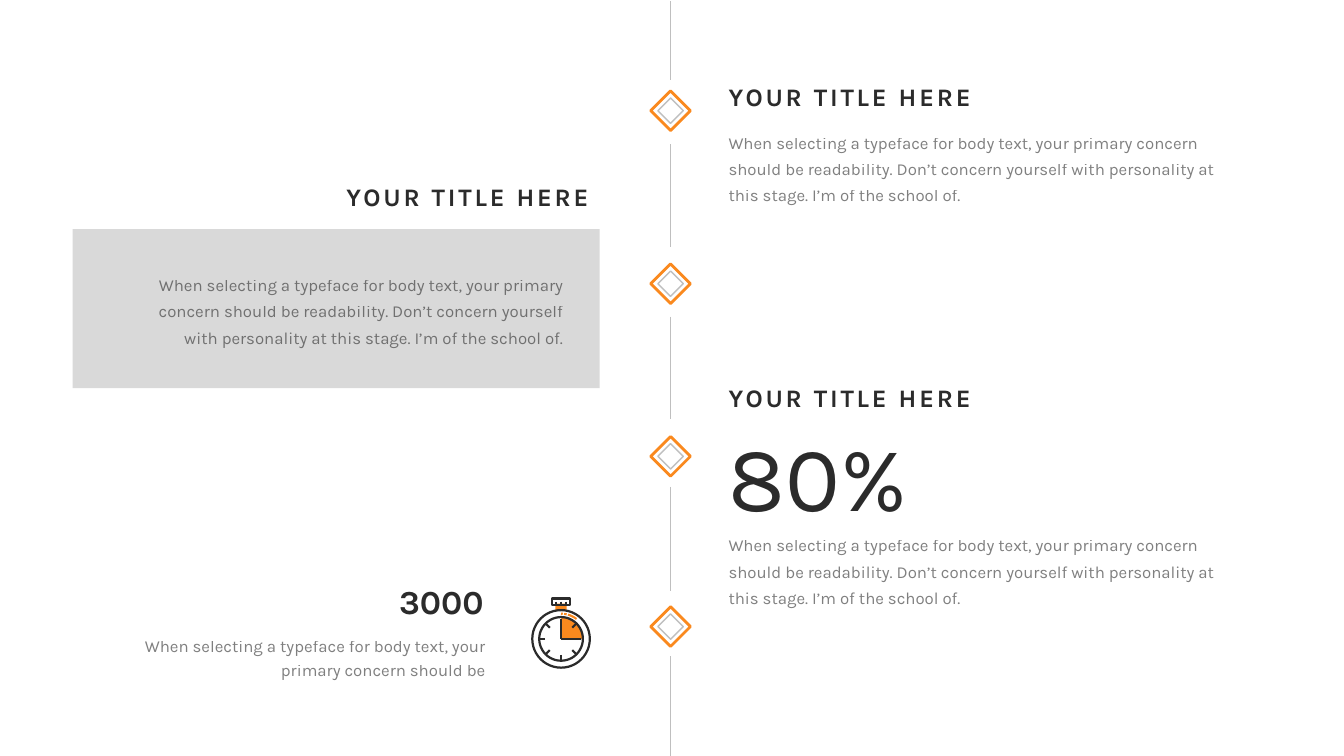
import math
from dataclasses import dataclass

import pptx
import pptx.dml.color
import pptx.enum.shapes
import pptx.enum.text
import pptx.oxml
import pptx.oxml.ns
import pptx.util
from lxml import etree

Cm = pptx.util.Cm
Pt = pptx.util.Pt
RGBColor = pptx.dml.color.RGBColor
Align = pptx.enum.text.PP_ALIGN
Preset = pptx.enum.shapes.MSO_SHAPE
qn = pptx.oxml.ns.qn

ORANGE = RGBColor(0xFA, 0x89, 0x1E)
INK = RGBColor(0x2B, 0x2B, 0x2B)
RULE_GREY = RGBColor(0xBF, 0xBF, 0xBF)
PANEL_GREY = RGBColor(0xD9, 0xD9, 0xD9)
FONT = "Karla"

AXIS_X = 16.9
MILESTONE_YS = (2.79, 7.15, 11.5, 15.79)
AXIS_SEGMENTS = ((0.03, 2.01), (3.63, 6.22), (7.98, 10.57), (12.27, 14.88), (16.54, 19.05))
RIGHT_X = 18.11
COLUMN_WIDTH = 13.21

TITLE = "YOUR TITLE HERE"
BRIEF = "When selecting a typeface for body text, your primary concern should be"
BODY = (BRIEF + " readability. Don’t concern yourself with personality at this stage. "
        "I’m of the school of.")


@dataclass(frozen=True)
class Style:
    size: float
    line_spacing: float = 1.0
    bold: bool = False
    tracking: float = 0
    opacity: int = 100
    wrap: bool = True


@dataclass(frozen=True)
class Copy:
    text: str
    style: Style
    left: float
    top: float
    width: float
    height: float
    align: Align = Align.LEFT


HEADING = Style(18, 0.9, bold=True, tracking=2)
PARAGRAPH = Style(12, 1.3, opacity=60)
NOTE = Style(12, 1.2, opacity=60)
COUNT = Style(24, 0.9, bold=True)
PERCENT = Style(66, wrap=False)

COPIES = (
    Copy(TITLE, HEADING, RIGHT_X, 2.01, COLUMN_WIDTH, 1.04),
    Copy(BODY, PARAGRAPH, RIGHT_X, 3.07, COLUMN_WIDTH, 2.26),
    Copy(TITLE, HEADING, 1.88, 4.52, COLUMN_WIDTH, 1.04, Align.RIGHT),
    Copy(BODY, PARAGRAPH, 2.92, 6.65, 11.53, 2.26, Align.RIGHT),
    Copy(TITLE, HEADING, RIGHT_X, 9.6, COLUMN_WIDTH, 1.04),
    Copy("80%", PERCENT, RIGHT_X, 10.44, 5.11, 3.07),
    Copy(BODY, PARAGRAPH, RIGHT_X, 13.21, COLUMN_WIDTH, 2.26),
    Copy("3000", COUNT, 6.65, 14.63, 5.79, 1.12, Align.RIGHT),
    Copy(BRIEF, NOTE, 3.35, 15.8, 9.14, 1.5, Align.RIGHT),
)


def add_copy(slide: pptx.slide.Slide, copy: Copy) -> None:
    box = slide.shapes.add_textbox(Cm(copy.left), Cm(copy.top), Cm(copy.width), Cm(copy.height))
    box.text_frame.word_wrap = copy.style.wrap
    paragraph = box.text_frame.paragraphs[0]
    paragraph.text = copy.text
    paragraph.alignment = copy.align
    paragraph.line_spacing = copy.style.line_spacing
    font = paragraph.font
    font.name = FONT
    font.size = Pt(copy.style.size)
    font.bold = copy.style.bold
    font.color.rgb = INK
    properties = paragraph._p.pPr.find(qn("a:defRPr"))
    if copy.style.tracking:
        properties.set("spc", str(round(copy.style.tracking * 100)))
    if copy.style.opacity < 100:
        colour = properties.find(".//" + qn("a:srgbClr"))
        etree.SubElement(colour, qn("a:alpha")).set("val", str(copy.style.opacity * 1000))


def add_centred(slide: pptx.slide.Slide, preset: Preset, x: float, y: float,
                width: float, height: float, fill: RGBColor | None = None,
                line: RGBColor | None = None, weight: float = 1) -> pptx.shapes.autoshape.Shape:
    """Add a preset shape around the point x, y."""
    shape = slide.shapes.add_shape(preset, Cm(x - width / 2), Cm(y - height / 2),
                                   Cm(width), Cm(height))
    shape.shadow.inherit = False
    if fill is None:
        shape.fill.background()
    else:
        shape.fill.solid()
        shape.fill.fore_color.rgb = fill
    if line is None:
        shape.line.fill.background()
    else:
        shape.line.color.rgb = line
        shape.line.width = Pt(weight)
    return shape


def add_line(slide: pptx.slide.Slide, x1: float, y1: float, x2: float, y2: float,
             colour: RGBColor, weight: float) -> None:
    line = slide.shapes.add_connector(pptx.enum.shapes.MSO_CONNECTOR.STRAIGHT,
                                      Cm(x1), Cm(y1), Cm(x2), Cm(y2))
    line.line.color.rgb = colour
    line.line.width = Pt(weight)
    etree.SubElement(line._element.spPr, qn("a:effectLst"))


def set_sweep(shape: pptx.shapes.autoshape.Shape, start: float, end: float) -> None:
    """Set the angles of a pie or arc, in degrees clockwise from the top."""
    for index, angle in enumerate((start, end)):
        shape.adjustments[index] = (angle - 90) % 360 * 0.6


def add_stopwatch(slide: pptx.slide.Slide, x: float, y: float) -> None:
    """Draw the stopwatch with its dial centred on x, y."""
    quarter = add_centred(slide, Preset.PIE, x, y, 1.1, 1.1, fill=ORANGE)
    set_sweep(quarter, 0, 90)
    add_centred(slide, Preset.RECTANGLE, x, y - 0.8, 0.28, 0.18, fill=ORANGE)
    for start, end in ((0, 4), (7, 13), (16, 38)):
        glint = add_centred(slide, Preset.ARC, x, y, 1.27, 1.27, line=ORANGE, weight=1.5)
        set_sweep(glint, start, end)

    crown_y = y - 0.94
    add_centred(slide, Preset.RECTANGLE, x, crown_y, 0.45, 0.16, line=INK, weight=1.6)
    for offset in (-0.12, 0, 0.12):
        add_line(slide, x + offset, crown_y, x + offset, crown_y + 0.08, INK, 1.4)

    for diameter in (1.45, 1.1):
        add_centred(slide, Preset.OVAL, x, y, diameter, diameter, line=INK, weight=1.6)
    for angle in range(0, 360, 45):
        is_hand = angle in (0, 90)
        inner, outer = (0, 0.49) if is_hand else (0.4, 0.53)
        dx, dy = math.sin(math.radians(angle)), -math.cos(math.radians(angle))
        add_line(slide, x + inner * dx, y + inner * dy, x + outer * dx, y + outer * dy, INK, 1.5)


def main() -> None:
    presentation = pptx.Presentation()
    presentation.slide_width = Cm(33.87)
    presentation.slide_height = Cm(19.05)
    slide = presentation.slides.add_slide(presentation.slide_layouts[6])

    for top, bottom in AXIS_SEGMENTS:
        add_line(slide, AXIS_X, top, AXIS_X, bottom, RULE_GREY, 0.5)
    for y in MILESTONE_YS:
        add_centred(slide, Preset.DIAMOND, AXIS_X, y, 1, 1, line=ORANGE, weight=2)
        add_centred(slide, Preset.DIAMOND, AXIS_X, y, 0.64, 0.64, line=RULE_GREY)

    add_centred(slide, Preset.RECTANGLE, 8.47, 7.78, 13.28, 4.01, fill=PANEL_GREY)
    for copy in COPIES:
        add_copy(slide, copy)
    add_stopwatch(slide, 14.14, 16.1)

    presentation.save("out.pptx")


if __name__ == "__main__":
    main()
